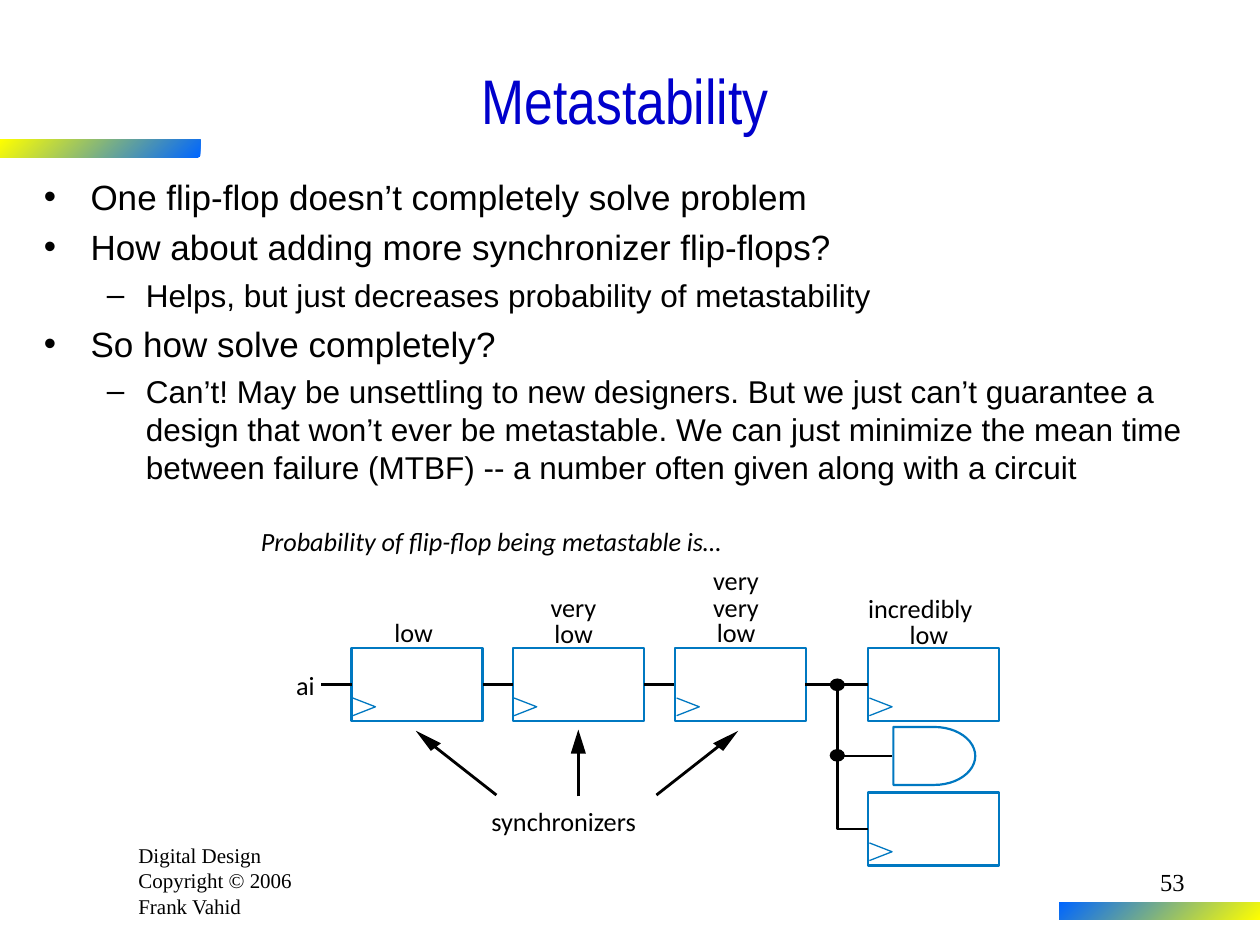
from dataclasses import dataclass

from lxml import etree
from pptx import Presentation
from pptx import util as u
from pptx.dml.color import RGBColor
from pptx.enum import shapes, text
from pptx.oxml import ns

BLACK = RGBColor(0x00, 0x00, 0x00)
WHITE = RGBColor(0xFF, 0xFF, 0xFF)
TITLE_BLUE = RGBColor(0x00, 0x00, 0xCC)
BAR_BLUE = RGBColor(0x00, 0x66, 0xFF)
BAR_YELLOW = RGBColor(0xFF, 0xFF, 0x00)
CIRCUIT_BLUE = RGBColor(0x00, 0x78, 0xC1)

Point = tuple[float, float]


@dataclass
class Style:
    font: str
    size: float
    color: RGBColor = BLACK
    italic: bool = False
    align: text.PP_ALIGN = text.PP_ALIGN.LEFT


@dataclass
class Level:
    bullet: str
    margin: float
    indent: float
    size: float
    before: float


@dataclass
class Label:
    text: str
    x: float
    y: float
    w: float
    italic: bool = False


@dataclass
class Arrow:
    start: Point
    end: Point
    head: list[Point]


LEVELS = [Level("•", 0.37, -0.37, 20, 5), Level("–", 0.81, -0.31, 18, 4.5)]
BULLETS = [
    (0, "One flip-flop doesn’t completely solve problem"),
    (0, "How about adding more synchronizer flip-flops?"),
    (1, "Helps, but just decreases probability of metastability"),
    (0, "So how solve completely?"),
    (1, "Can’t! May be unsettling to new designers. But we just can’t guarantee a "
        "design that won’t ever be metastable. We can just minimize the mean time "
        "between failure (MTBF) -- a number often given along with a circuit"),
]
FLIP_FLOPS = [(2.79, 5.14), (4.07, 5.14), (5.36, 5.14), (6.89, 5.14), (6.89, 6.29)]
WIRES = [
    ((2.55, 5.43), (2.79, 5.43)),
    ((3.83, 5.43), (4.07, 5.43)),
    ((5.11, 5.43), (5.35, 5.43)),
    ((6.39, 5.43), (6.89, 5.43)),
    ((6.64, 6), (7.08, 6)),
]
ARROWS = [
    Arrow((3.94, 6.31), (3.43, 5.91), [(3.3, 5.8), (3.5, 5.9), (3.42, 5.96)]),
    Arrow((4.59, 6.32), (4.59, 5.95), [(4.59, 5.79), (4.53, 5.98), (4.65, 5.98)]),
    Arrow((5.21, 6.31), (5.72, 5.91), [(5.86, 5.8), (5.66, 5.9), (5.74, 5.96)]),
]
LABELS = [
    Label("Probability of flip-flop being metastable is…", 2.07, 4.17, 4.03, True),
    Label("ai", 2.35, 5.31, 0.17),
    Label("synchronizers", 3.9, 6.39, 1.36),
    Label("low", 3.13, 4.89, 0.34),
    Label("very", 4.37, 4.69, 0.42),
    Label("low", 4.4, 4.9, 0.34),
    Label("very", 5.66, 4.48, 0.42),
    Label("very", 5.66, 4.69, 0.42),
    Label("low", 5.69, 4.89, 0.34),
    Label("incredibly", 6.89, 4.7, 0.96),
    Label("low", 7.22, 4.91, 0.34),
]


def add_text(s, lines: list[str], x: float, y: float, w: float, h: float, style: Style):
    tf = s.shapes.add_textbox(u.Inches(x), u.Inches(y), u.Inches(w), u.Inches(h)).text_frame
    tf.word_wrap = True
    tf.text = "\n".join(lines)
    for p in tf.paragraphs:
        p.alignment = style.align
        for r in p.runs:
            r.font.name = style.font
            r.font.size = u.Pt(style.size)
            r.font.color.rgb = style.color
            r.font.italic = style.italic
    return tf


def add_label(s, label: Label) -> None:
    style = Style("Calibri", 15, italic=label.italic)
    tf = add_text(s, [label.text], label.x, label.y, label.w, 0.25, style)
    tf.margin_left = tf.margin_right = tf.margin_top = tf.margin_bottom = 0
    tf.word_wrap = False
    tf.auto_size = text.MSO_AUTO_SIZE.SHAPE_TO_FIT_TEXT


def add_bullets(s) -> None:
    tf = add_text(s, [line for _, line in BULLETS], 0.25, 1.34, 9.42, 2.75, Style("Arial", 20))
    for i, (p, (depth, _)) in enumerate(zip(tf.paragraphs, BULLETS)):
        level = LEVELS[depth]
        p.level = depth
        p.space_before = u.Pt(level.before if i else 0)
        pPr = p._p.get_or_add_pPr()
        pPr.set("marL", str(u.Inches(level.margin)))
        pPr.set("indent", str(u.Inches(level.indent)))
        etree.SubElement(pPr, ns.qn("a:buFont")).set("typeface", "Arial")
        etree.SubElement(pPr, ns.qn("a:buChar")).set("char", level.bullet)
        p.runs[0].font.size = u.Pt(level.size)


def paint(sp, fill: RGBColor | None, line: RGBColor | None, width: float = 1) -> None:
    sp.shadow.inherit = False
    if fill is None:
        sp.fill.background()
    else:
        sp.fill.solid()
        sp.fill.fore_color.rgb = fill
    if line is None:
        sp.line.fill.background()
    else:
        sp.line.color.rgb = line
        sp.line.width = u.Pt(width)


def add_preset(s, kind: shapes.MSO_SHAPE, x: float, y: float, w: float, h: float):
    return s.shapes.add_shape(kind, u.Inches(x), u.Inches(y), u.Inches(w), u.Inches(h))


def add_outline(s, points: list[Point], close: bool):
    corners = [(u.Inches(x), u.Inches(y)) for x, y in points]
    builder = s.shapes.build_freeform(*corners[0])
    builder.add_line_segments(corners[1:], close=close)
    return builder.convert_to_shape()


def add_bar(s, x: float, y: float, first: RGBColor, last: RGBColor) -> None:
    sp = add_preset(s, shapes.MSO_SHAPE.RECTANGLE, x, y, 1.59, 0.14)
    paint(sp, None, None)
    sp.fill.gradient()
    sp.fill.gradient_angle = 135
    for stop, color in zip(sp.fill.gradient_stops, (first, last)):
        stop.color.rgb = color


def add_wire(s, start: Point, end: Point) -> None:
    ends = [u.Inches(v) for v in (*start, *end)]
    c = s.shapes.add_connector(shapes.MSO_CONNECTOR.STRAIGHT, *ends)
    c.line.color.rgb = BLACK
    c.line.width = u.Pt(1.62)
    etree.SubElement(c._element.spPr, ns.qn("a:effectLst"))


def add_flip_flop(s, x: float, y: float) -> None:
    body = add_preset(s, shapes.MSO_SHAPE.RECTANGLE, x, y, 1.04, 0.58)
    paint(body, None, CIRCUIT_BLUE, 1.25)
    clock = [(x + 0.01, y + 0.54), (x + 0.19, y + 0.47), (x + 0.01, y + 0.4)]
    paint(add_outline(s, clock, False), None, CIRCUIT_BLUE, 0.75)


def add_circuit(s) -> None:
    gate = add_preset(s, shapes.MSO_SHAPE.FLOWCHART_DELAY, 7.09, 5.77, 0.65, 0.46)
    paint(gate, WHITE, CIRCUIT_BLUE, 1.25)
    for y in (5.39, 5.95):
        paint(add_preset(s, shapes.MSO_SHAPE.OVAL, 6.59, y, 0.11, 0.09), BLACK, BLACK, 0.75)
    for x, y in FLIP_FLOPS:
        add_flip_flop(s, x, y)
    for start, end in WIRES:
        add_wire(s, start, end)
    branch = add_outline(s, [(6.89, 6.58), (6.65, 6.58), (6.65, 5.42)], False)
    paint(branch, None, BLACK, 1.62)
    for arrow in ARROWS:
        add_wire(s, arrow.start, arrow.end)
        paint(add_outline(s, arrow.head, True), BLACK, None)
    for label in LABELS:
        add_label(s, label)


def main() -> None:
    prs = Presentation()
    prs.slide_width, prs.slide_height = u.Inches(10), u.Inches(7.5)
    s = prs.slides.add_slide(prs.slide_layouts[6])
    add_text(s, ["Digital Design", "Copyright © 2006", "Frank Vahid"],
             1, 6.64, 1.67, 0.7, Style("Times New Roman", 12))
    add_bar(s, 0, 1.11, BAR_BLUE, BAR_YELLOW)
    add_bar(s, 8.41, 7.16, BAR_YELLOW, BAR_BLUE)
    title = add_text(s, ["Metastability"], 0.25, 0.33, 9.42, 0.92,
                     Style("Arial Narrow", 36, TITLE_BLUE, align=text.PP_ALIGN.CENTER))
    title.vertical_anchor = text.MSO_ANCHOR.MIDDLE
    add_bullets(s)
    add_circuit(s)
    add_text(s, ["53"], 7.42, 6.83, 2.08, 0.5,
             Style("Times New Roman", 14, align=text.PP_ALIGN.RIGHT))
    prs.save("out.pptx")


if __name__ == "__main__":
    main()
